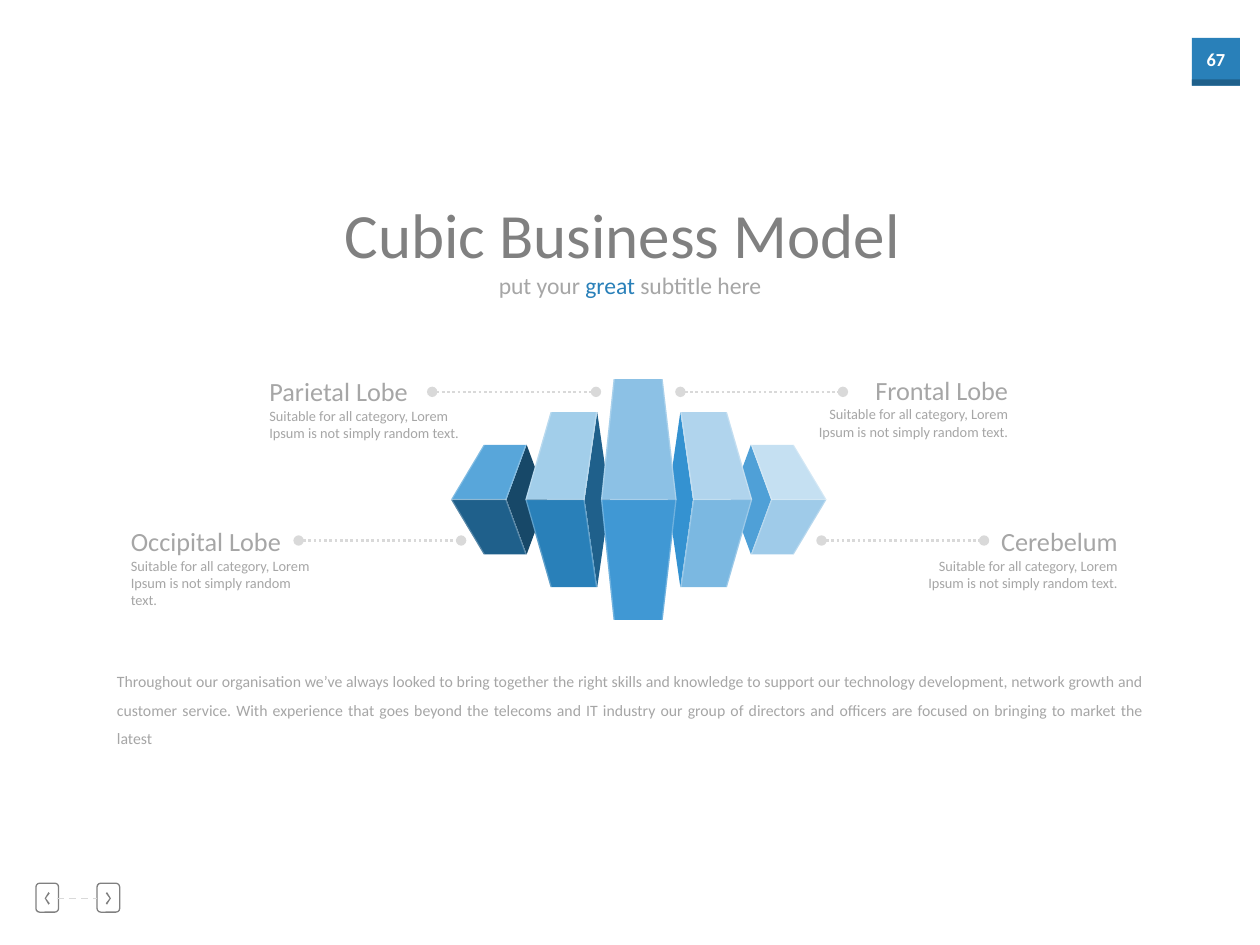
"""Build the Cubic Business Model slide with its prisms and four lobe labels."""
from dataclasses import dataclass

from lxml import etree
from pptx import Presentation
from pptx.dml.color import RGBColor
from pptx.enum.shapes import MSO_CONNECTOR, MSO_SHAPE
from pptx.enum.text import MSO_ANCHOR, MSO_AUTO_SIZE, PP_ALIGN
from pptx.oxml.ns import qn
from pptx.util import Inches, Pt

LEFT, CENTER, RIGHT, JUSTIFY = PP_ALIGN.LEFT, PP_ALIGN.CENTER, PP_ALIGN.RIGHT, PP_ALIGN.JUSTIFY
RECTANGLE, ROUNDED = MSO_SHAPE.RECTANGLE, MSO_SHAPE.ROUNDED_RECTANGLE
STRAIGHT = MSO_CONNECTOR.STRAIGHT
TOP, NO_AUTOFIT = MSO_ANCHOR.TOP, MSO_AUTO_SIZE.NONE

BLUE, NAVY, GRAY, SILVER, PALE, WHITE = "2980B9", "1F608B", "808080", "A6A6A6", "D9D9D9", "FFFFFF"
AXIS_X, AXIS_Y = 5.07, 3.965
EDGE = 0.01
NOTE = "Suitable for all category, Lorem Ipsum is not simply random text."
SUMMARY = (
    "Throughout our organisation we’ve always looked to bring together the right skills and "
    "knowledge to support our technology development, network growth and customer service. "
    "With experience that goes beyond the telecoms and IT industry our group of directors and "
    "officers are focused on bringing to market the latest"
)


@dataclass(frozen=True)
class Prism:
    """Left-hand geometry of a prism; side is 1 on the left and -1 when mirrored."""
    side: int
    outer: float
    far: float
    near: float
    inner: float
    half: float
    upper: str
    lower: str
    flank: str | None = None

    def place(self, x: float) -> float:
        """Mirror a left-hand x about the axis when the prism is on the right."""
        return AXIS_X + self.side * (x - AXIS_X)


@dataclass(frozen=True)
class Lobe:
    """A label with its note and dotted leader."""
    name: str
    edge: float
    top: float
    name_width: float
    note_width: float
    leader: tuple[float, float, float]
    align: PP_ALIGN = LEFT


OUTER = (3.58, 3.84, 4.18, 4.02, 0.435)
INNER = (4.17, 4.37, 4.74, 4.64, 0.695)
PRISMS = [
    Prism(1, *OUTER, "58A6DA", NAVY, "174868"),
    Prism(1, *INNER, "A2CEEA", BLUE, NAVY),
    Prism(-1, *OUTER, "C5E0F2", "9FCBE9", "4FA0D7"),
    Prism(-1, *INNER, "B0D4ED", "7BB8E1", "3492D1"),
    Prism(1, 4.77, 4.87, 5.26, 5.37, 0.955, "8CC1E5", "4098D4"),
]
LOBES = [
    Lobe("Parietal Lobe", 2.04, 2.93, 1.31, 1.84, (3.43, 4.73, 3.11)),
    Lobe("Occipital Lobe", 0.94, 4.12, 1.41, 1.7, (2.37, 3.66, 4.29)),
    Lobe("Frontal Lobe", 8.1, 2.92, 1.27, 1.71, (5.4, 6.69, 3.11), RIGHT),
    Lobe("Cerebelum", 8.97, 4.12, 1.14, 1.81, (6.52, 7.81, 4.29), RIGHT),
]


def rgb(color: str) -> RGBColor:
    """Turn a hex string into a colour."""
    return RGBColor.from_string(color)


def write(shape, *runs: tuple[str, str], size: float, align=LEFT, wrap=True, bold=False, spacing=1.0) -> None:
    """Fill a shape with one paragraph of coloured runs."""
    frame = shape.text_frame
    frame.auto_size, frame.word_wrap, frame.vertical_anchor = NO_AUTOFIT, wrap, TOP
    paragraph = frame.paragraphs[0]
    paragraph.alignment, paragraph.line_spacing = align, spacing
    for words, color in runs:
        run = paragraph.add_run()
        run.text = words
        run.font.name, run.font.size, run.font.bold = "Calibri", Pt(size), bold
        run.font.color.rgb = rgb(color)


def add_text(slide, box: tuple, *runs: tuple[str, str], **text_format) -> None:
    """Add a text box at the given inches."""
    write(slide.shapes.add_textbox(*map(Inches, box)), *runs, **text_format)


def paint(shape, color: str, opacity: int = 100) -> None:
    """Give a shape a flat fill without outline or shadow."""
    shape.shadow.inherit = False
    shape.line.fill.background()
    shape.fill.solid()
    shape.fill.fore_color.rgb = rgb(color)
    if opacity < 100:
        tint = shape.element.spPr.find(".//" + qn("a:srgbClr"))
        etree.SubElement(tint, qn("a:alpha"), val=str(opacity * 1000))


def add_polygon(slide, points: list, color: str, opacity: int = 100) -> None:
    """Draw a closed polygon through points given in inches."""
    start, *rest = [(Inches(x), Inches(y)) for x, y in points]
    builder = slide.shapes.build_freeform(*start, scale=1.0)
    builder.add_line_segments(rest, close=True)
    paint(builder.convert_to_shape(), color, opacity)


def add_leader(slide, start: float, end: float, y: float, width: float, dash: str, cap: str | None = None) -> None:
    """Draw a dashed horizontal connector with optional end caps."""
    leader = slide.shapes.add_connector(STRAIGHT, *map(Inches, (start, y, end, y)))
    leader.line.width = Pt(width)
    leader.line.color.rgb = rgb(PALE)
    properties = leader.element.spPr
    stroke = properties.find(qn("a:ln"))
    etree.SubElement(stroke, qn("a:prstDash"), val=dash)
    if cap:
        for tag in ("a:headEnd", "a:tailEnd"):
            etree.SubElement(stroke, qn(tag), type=cap)
    etree.SubElement(properties, qn("a:effectLst"))


def add_prism(slide, prism: Prism) -> None:
    """Draw the flank and the upper and lower faces of a prism."""
    outer, far, near, inner = map(prism.place, (prism.outer, prism.far, prism.near, prism.inner))
    top, bottom = AXIS_Y - prism.half, AXIS_Y + prism.half
    if prism.flank:
        bulge = prism.place(2 * prism.near - prism.inner)
        add_polygon(slide, [(inner, AXIS_Y), (near, top), (bulge, AXIS_Y), (near, bottom)], prism.flank)
    for y, color in ((top, prism.upper), (bottom, prism.lower)):
        add_polygon(slide, [(inner, AXIS_Y), (near, y), (far, y), (outer, AXIS_Y)], color)


def add_highlights(slide, prism: Prism) -> None:
    """Lay translucent strips along the fold and both sides of a prism."""
    outer, inner = prism.place(prism.outer), prism.place(prism.inner)
    y = AXIS_Y - EDGE / 2
    add_polygon(slide, [(outer, y), (inner, y), (inner, y + EDGE), (outer, y + EDGE)], WHITE, 25)
    top, bottom = AXIS_Y - prism.half, AXIS_Y + prism.half
    for fold, end, shift in ((prism.outer, prism.far, EDGE), (prism.inner, prism.near, -EDGE)):
        strip = [(end, top), (fold, AXIS_Y), (end, bottom),
                 (end + shift, bottom), (fold + shift, AXIS_Y), (end + shift, top)]
        add_polygon(slide, [(prism.place(x), y) for x, y in strip], WHITE, 25)


def add_lobe(slide, lobe: Lobe) -> None:
    """Draw a lobe's leader, name and note."""
    add_leader(slide, *lobe.leader, 1.5, "sysDot", "oval")
    for words, size, width, drop, height, wrap in (
        (lobe.name, 15, lobe.name_width, 0, 0.35, False),
        (NOTE, 8.2, lobe.note_width, 0.25, 0.52, True),
    ):
        left = lobe.edge - width if lobe.align == RIGHT else lobe.edge
        add_text(slide, (left, lobe.top + drop, width, height), (words, SILVER),
                 size=size, align=lobe.align, wrap=wrap)


def add_page_badge(slide) -> None:
    """Draw the page number tab."""
    for top, height, color in ((0.3, 0.38, BLUE), (0.63, 0.05, NAVY)):
        paint(slide.shapes.add_shape(RECTANGLE, *map(Inches, (9.46, top, 0.38, height))), color)
    add_text(slide, (9.46, 0.33, 0.38, 0.28), ("67", WHITE), size=10.5, align=CENTER, wrap=False, bold=True)


def add_navigation(slide) -> None:
    """Draw the previous and next buttons with their dashed link."""
    for center, side in ((0.375, 1), (0.86, -1)):
        button = slide.shapes.add_shape(ROUNDED, *map(Inches, (center - 0.09, 7.01, 0.18, 0.23)))
        button.shadow.inherit = False
        button.fill.background()
        button.line.color.rgb, button.line.width = rgb(GRAY), Pt(0.75)
        chevron = [(0.01, -0.05), (0.02, -0.04), (-0.01, 0), (0.02, 0.04), (0.01, 0.05), (-0.02, 0)]
        add_polygon(slide, [(center + side * x, 7.13 + y) for x, y in chevron], GRAY)
    add_leader(slide, 0.45, 0.77, 7.13, 1, "dash")


def main() -> None:
    """Assemble and save the slide."""
    deck = Presentation()
    deck.slide_width, deck.slide_height = Inches(10), Inches(7.5)
    slide = deck.slides.add_slide(deck.slide_layouts[5])
    add_page_badge(slide)
    add_navigation(slide)
    title = slide.shapes.title
    title.left, title.top, title.width, title.height = map(Inches, (2.63, 1.5, 4.73, 0.71))
    write(title, ("Cubic Business Model ", GRAY), size=36, align=CENTER, wrap=False)
    add_text(slide, (3.86, 2.1, 2.28, 0.33), ("put your ", SILVER), ("great", BLUE),
             (" subtitle here", SILVER), size=13.5, align=CENTER)
    add_text(slide, (0.83, 5.21, 8.33, 0.78), (SUMMARY, SILVER), size=9, align=JUSTIFY, spacing=1.5)
    for draw, items in ((add_prism, PRISMS), (add_highlights, PRISMS), (add_lobe, LOBES)):
        for item in items:
            draw(slide, item)
    deck.save("out.pptx")


if __name__ == "__main__":
    main()
